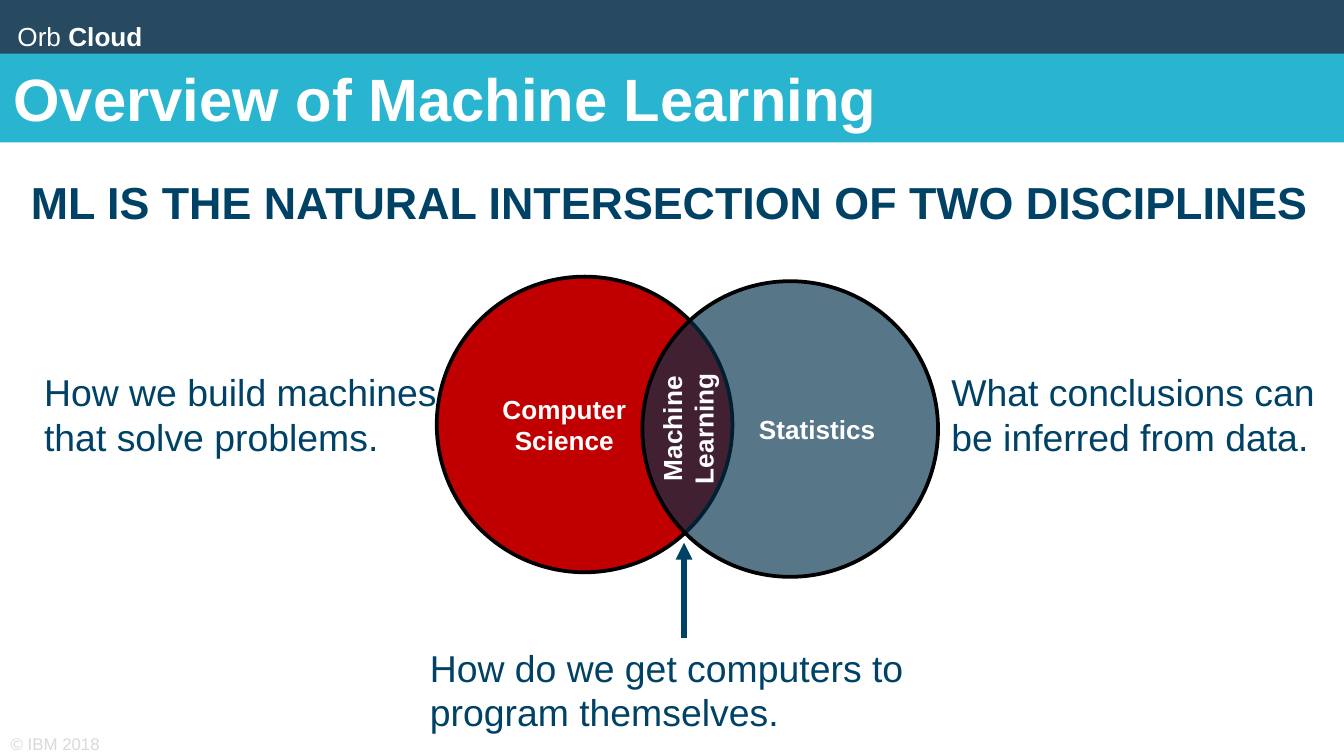
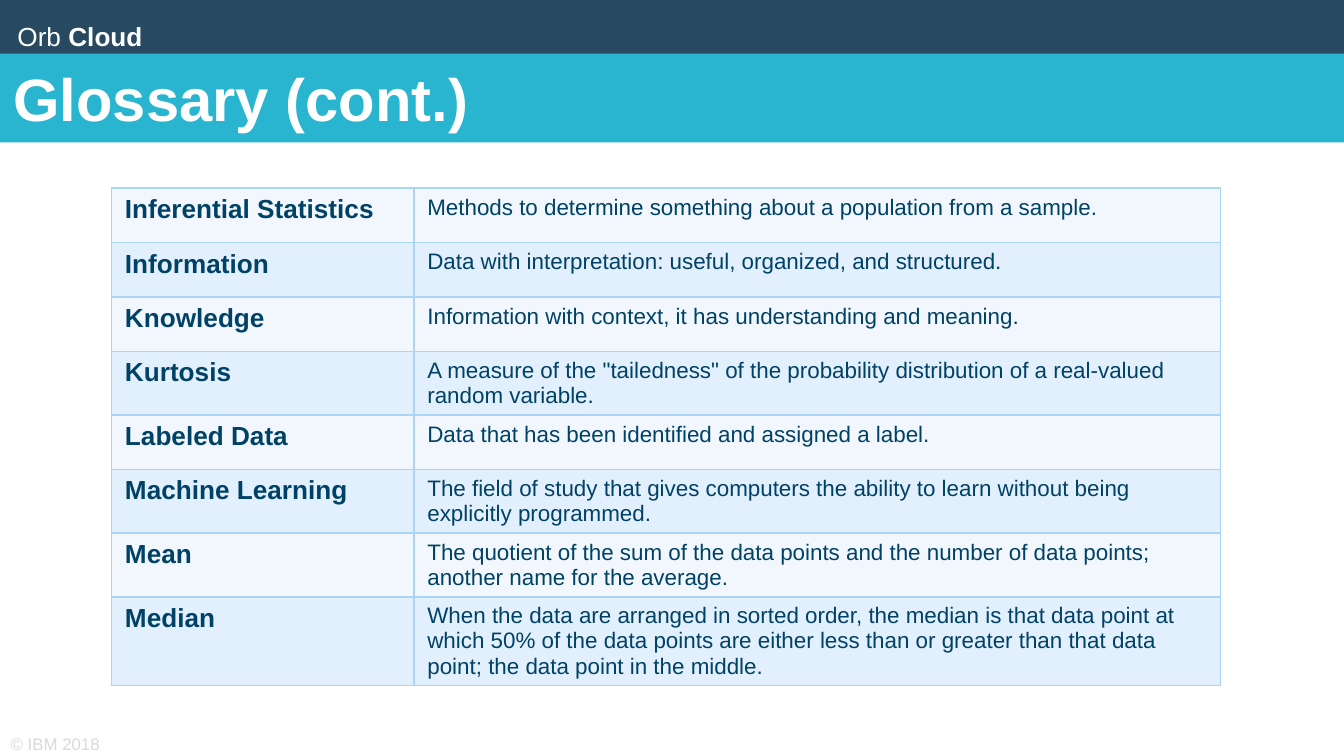
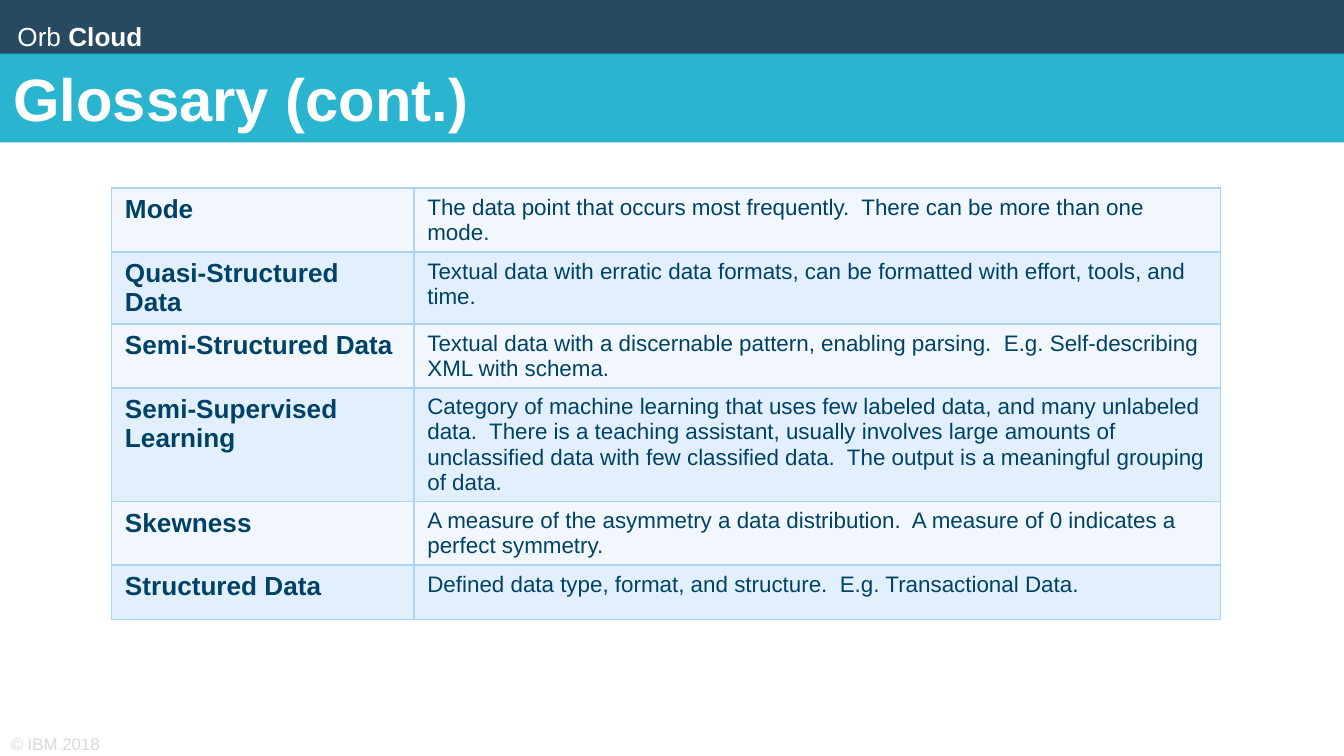
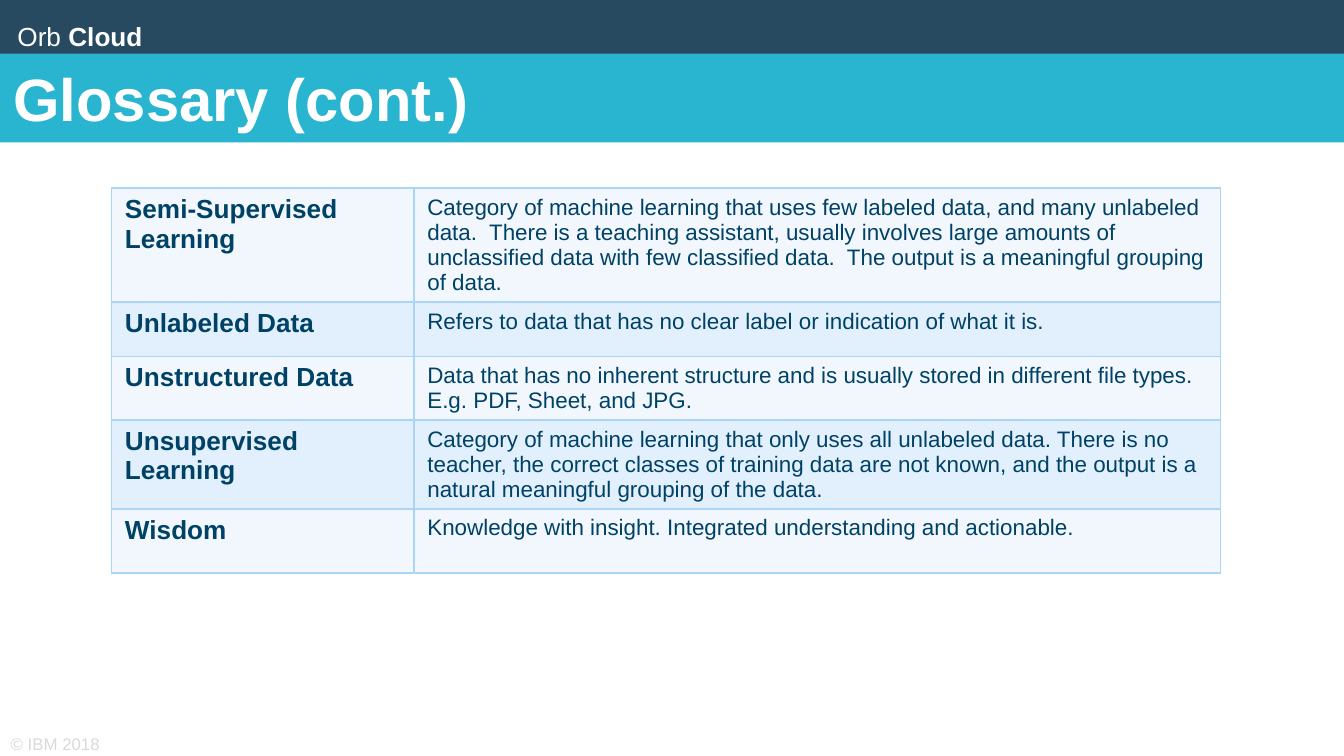
from lxml import etree
from pptx import Presentation
from pptx import util as u
from pptx.dml.color import RGBColor
from pptx.enum import shapes, text
from pptx.oxml.ns import qn

INK = {
    "top": "274A60", "band": "29B5CF", "navy": "004266", "white": "FFFFFF",
    "foot": "D9D9D9", "red": "C00000", "slate": "00324D", "black": "000000",
    "edge": "AAD5F7", "odd": "F1F7FD", "even": "E2EFFC",
}
HUE = {name: RGBColor.from_string(code) for name, code in INK.items()}
WIDE, HIGH = u.Inches(10), u.Inches(5.625)
OVAL, RECT = shapes.MSO_SHAPE.OVAL, shapes.MSO_SHAPE.RECTANGLE


def area(x, y, w, h):
    """Turn percentages of the slide into lengths."""
    return [int(part * side / 100) for part, side in zip((x, y, w, h), (WIDE, HIGH) * 2)]


def write(frame, words, size, hue, bold=False, pads=None):
    frame.text = words
    frame.word_wrap = True
    for run in frame.paragraphs[0].runs:
        run.font.name, run.font.size, run.font.bold = "Arial", u.Pt(size), bold
        run.font.color.rgb = HUE[hue]
    if pads:
        (frame.margin_left, frame.margin_top,
         frame.margin_right, frame.margin_bottom) = map(u.Inches, pads)


deck = Presentation()
deck.slide_width, deck.slide_height = WIDE, HIGH

# Slides with their title bands
base = deck.slide_layouts.get_by_name("Title Only")
for spare in list(base.placeholders)[1:]:
    base.shapes.element.remove(spare.element)
pages = []
for name in ["Overview of Machine Learning"] + ["Glossary (cont.)"] * 3:
    page = deck.slides.add_slide(base)
    head = page.shapes.title
    head.left, head.top, head.width, head.height = area(0, 7.1, 100, 11.75)
    head.fill.solid()
    head.fill.fore_color.rgb = HUE["band"]
    write(head.text_frame, name, 32, "white", True)
    head.text_frame.auto_size = text.MSO_AUTO_SIZE.NONE
    head.text_frame.vertical_anchor = text.MSO_ANCHOR.MIDDLE
    head.text_frame.paragraphs[0].alignment = text.PP_ALIGN.LEFT
    pages.append(page)

# Shared top bar, brand and footer, kept on the layout
first = pages[0].shapes
bar = first.add_shape(RECT, *area(0, 0, 100, 7.3))
bar.shadow.inherit = False
bar.fill.solid()
bar.fill.fore_color.rgb = HUE["top"]
bar.line.fill.background()
brand = first.add_textbox(*area(0.8, 2.3, 15.7, 5.7))
write(brand.text_frame, "Orb ", 14, "white", pads=[0.05] * 4)
line = brand.text_frame.paragraphs[0]
line.line_spacing = 0.9
bold = line.add_run()
bold.text = "Cloud"
bold.font.name, bold.font.size, bold.font.bold = "Arial", u.Pt(14), True
bold.font.color.rgb = HUE["white"]
foot = first.add_textbox(*area(0.8, 97.1, 36, 2.5))
write(foot.text_frame, "© IBM 2018", 9, "foot", pads=[0] * 4)
foot.text_frame.vertical_anchor = text.MSO_ANCHOR.MIDDLE
for part in (bar, brand, foot):
    base.shapes.element.append(part.element)

# Overview: heading and captions
lead = first.add_textbox(*area(2.3, 22.2, 97.7, 8.7))
write(lead.text_frame, "ML IS THE NATURAL INTERSECTION OF TWO DISCIPLINES",
      24, "navy", True, (0, 0.05, 0.1, 0.05))
for words, x, y, w in [
    ("How we build machines that solve problems.", 2.3, 48, 33.2),
    ("What conclusions can be inferred from data.", 69.8, 48, 30.2),
    ("How do we get computers to program themselves.", 31, 84.4, 41.6),
]:
    note = first.add_textbox(*area(x, y, w, 13.7))
    write(note.text_frame, words, 20, "navy")

# Overview: arrow to the overlap
x, y, _, tip = area(50.9, 84.4, 0, 71.8)
arrow = first.add_connector(shapes.MSO_CONNECTOR.STRAIGHT, x, y, x, tip)
arrow.line.color.rgb, arrow.line.width = HUE["navy"], u.Pt(3)
props = arrow.element.spPr
etree.SubElement(props.find(qn("a:ln")), qn("a:tailEnd"), type="triangle")
etree.SubElement(props, qn("a:effectLst"))

# Overview: two circles
for words, x, y, hue, left, right in [
    ("Computer Science", 32.5, 36.6, "red", 0.1, 0.4),
    ("Statistics", 47.8, 37.2, "slate", 0.5, 0.1),
]:
    disc = first.add_shape(OVAL, *area(x, y, 22, 39.11))
    disc.shadow.inherit = False
    disc.fill.solid()
    disc.fill.fore_color.rgb = HUE[hue]
    disc.line.color.rgb, disc.line.width = HUE["black"], u.Pt(2)
    write(disc.text_frame, words, 14, "white", True, (left, 0.05, right, 0.05))
    disc.text_frame.vertical_anchor = text.MSO_ANCHOR.MIDDLE
    disc.text_frame.paragraphs[0].alignment = text.PP_ALIGN.CENTER
tint = disc.element.spPr.find(qn("a:solidFill"))[0]
etree.SubElement(tint, qn("a:alpha"), val="66000")

# Overview: upright label in the overlap
label = first.add_textbox(*area(47.8, 41.6, 6.7, 30.2))
write(label.text_frame, "Machine Learning", 14, "white", True)
label.text_frame.vertical_anchor = text.MSO_ANCHOR.MIDDLE
label.text_frame.paragraphs[0].alignment = text.PP_ALIGN.CENTER
label.element.find(".//" + qn("a:bodyPr")).set("vert", "vert270")

# Glossary: terms for each table
semi = ("Semi-Supervised Learning",
        "Category of machine learning that uses few labeled data, and many unlabeled data.  "
        "There is a teaching assistant, usually involves large amounts of unclassified data "
        "with few classified data.  The output is a meaningful grouping of data.")
lists = [
    [
        ("Inferential Statistics",
         "Methods to determine something about a population from a sample."),
        ("Information", "Data with interpretation: useful, organized, and structured."),
        ("Knowledge", "Information with context, it has understanding and meaning."),
        ("Kurtosis", 'A measure of the "tailedness" of the probability distribution '
                     "of a real-valued random variable."),
        ("Labeled Data", "Data that has been identified and assigned a label."),
        ("Machine Learning", "The field of study that gives computers the ability to learn "
                             "without being explicitly programmed."),
        ("Mean", "The quotient of the sum of the data points and the number of data points; "
                 "another name for the average."),
        ("Median", "When the data are arranged in sorted order, the median is that data point "
                   "at which 50% of the data points are either less than or greater than that "
                   "data point; the data point in the middle."),
    ],
    [
        ("Mode", "The data point that occurs most frequently.  "
                 "There can be more than one mode."),
        ("Quasi-Structured Data", "Textual data with erratic data formats, can be formatted "
                                  "with effort, tools, and time."),
        ("Semi-Structured Data", "Textual data with a discernable pattern, enabling parsing.  "
                                 "E.g. Self-describing XML with schema."),
        semi,
        ("Skewness", "A measure of the asymmetry a data distribution.  "
                     "A measure of 0 indicates a perfect symmetry."),
        ("Structured Data", "Defined data type, format, and structure.  "
                            "E.g. Transactional Data."),
    ],
    [
        semi,
        ("Unlabeled Data",
         "Refers to data that has no clear label or indication of what it is."),
        ("Unstructured Data", "Data that has no inherent structure and is usually stored in "
                              "different file types.  E.g. PDF, Sheet, and JPG."),
        ("Unsupervised Learning", "Category of machine learning that only uses all unlabeled "
                                  "data. There is no teacher, the correct classes of training "
                                  "data are not known, and the output is a natural meaningful "
                                  "grouping of the data."),
        ("Wisdom", "Knowledge with insight. Integrated understanding and actionable."),
    ],
]

# Glossary: tables
for page, terms in zip(pages[1:], lists):
    frame = page.shapes.add_table(len(terms), 2, *area(8.3, 24.9, 82.5, 7.2 * len(terms)))
    grid = frame.table
    grid.first_row = grid.horz_banding = False
    for col, share in zip(grid.columns, (22.5, 60)):
        col.width = int(WIDE * share / 100)
    for row, pair in enumerate(terms):
        for col, words in enumerate(pair):
            cell = grid.cell(row, col)
            write(cell.text_frame, words, (14, 12)[col], "navy", col == 0)
            cell.fill.solid()
            cell.fill.fore_color.rgb = HUE[("odd", "even")[row % 2]]
    for props in frame.element.iter(qn("a:tcPr")):
        for spot, side in enumerate(("lnL", "lnR", "lnT", "lnB")):
            rule = etree.Element(qn("a:" + side), w=str(u.Pt(1)))
            fill = etree.SubElement(rule, qn("a:solidFill"))
            etree.SubElement(fill, qn("a:srgbClr"), val=INK["edge"])
            props.insert(spot, rule)

# The closing row of the last table is a little taller
grid.rows[len(terms) - 1].height = int(HIGH * 0.085)

deck.save("out.pptx")
